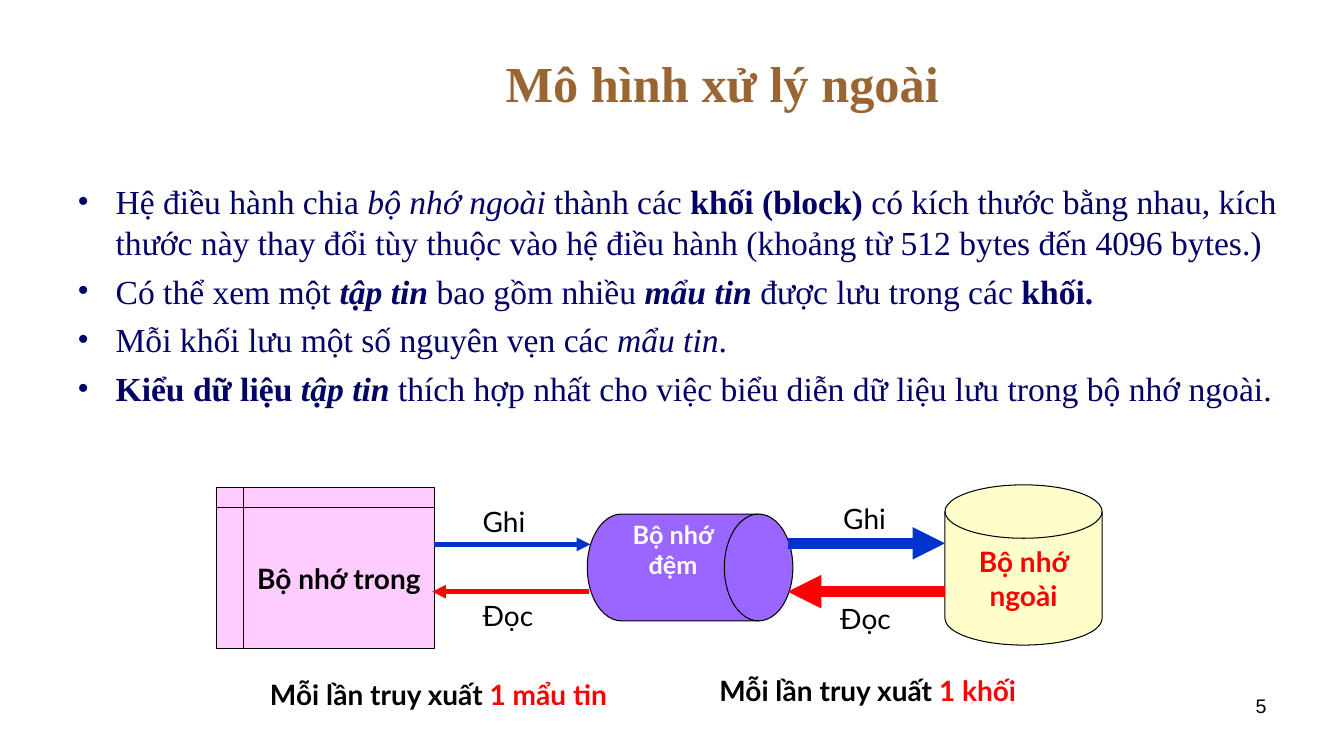
from lxml.etree import SubElement
from pptx import Presentation
from pptx.dml.color import RGBColor
from pptx.enum.shapes import MSO_CONNECTOR, MSO_SHAPE
from pptx.enum.text import MSO_ANCHOR, PP_ALIGN
from pptx.oxml.ns import qn
from pptx.util import Inches, Pt

COLORS = {"title": "996633", "body": "000066", "black": "000000", "white": "FFFFFF",
          "write": "0033CC", "read": "FF0000", "memory": "FFCCFF",
          "buffer": "9966FF", "disk": "FFFFCC"}

TITLE = "Mô hình xử lý ngoài"
PAGE_NUMBER = "5"
BULLETS = [
    [("Hệ điều hành chia ", ""), ("bộ nhớ ngoài ", "i"), ("thành các ", ""),
     ("khối (block) ", "b"),
     ("có kích thước bằng nhau, kích thước này thay đổi tùy thuộc vào hệ điều hành "
      "(khoảng từ 512 bytes đến 4096 bytes.)", "")],
    [("Có thể xem một ", ""), ("tập tin ", "bi"), ("bao gồm nhiều ", ""),
     ("mẩu tin ", "bi"), ("được lưu trong các ", ""), ("khối.", "b")],
    [("Mỗi khối lưu một số nguyên vẹn các ", ""), ("mẩu tin", "i"), (".", "")],
    [("Kiểu dữ liệu ", "b"), ("tập tin ", "bi"),
     ("thích hợp nhất cho việc biểu diễn dữ liệu lưu trong bộ nhớ ngoài.", "")],
]
STORES = [
    (MSO_SHAPE.FLOWCHART_INTERNAL_STORAGE, (2.15, 4.84, 2.16, 1.59),
     "Bộ nhớ trong", "memory", "black", 20, MSO_ANCHOR.MIDDLE),
    (MSO_SHAPE.FLOWCHART_MAGNETIC_DISK, (9.38, 4.81, 1.56, 1.59),
     "Bộ nhớ ngoài", "disk", "read", 20, MSO_ANCHOR.MIDDLE),
    (MSO_SHAPE.FLOWCHART_DIRECT_ACCESS_STORAGE, (5.83, 5.1, 2.04, 1.06),
     "Bộ nhớ đệm", "buffer", "white", 18, MSO_ANCHOR.TOP),
]
TRANSFERS = [
    (4.31, 5.86, 5.4, "write", 3.25),
    (7.82, 9.38, 5.39, "write", 7.75),
    (5.85, 4.29, 5.87, "read", 3.25),
    (9.38, 7.82, 5.87, "read", 8),
]
TRANSFER_LABELS = [("Ghi", 4.79, 5), ("Ghi", 8.37, 4.97),
                   ("Đọc", 4.79, 5.93), ("Đọc", 8.34, 5.96)]
CAPTIONS = [("Mỗi lần truy xuất ", "1 mẩu tin", 2.68, 6.71),
            ("Mỗi lần truy xuất ", "1 khối", 7.14, 6.67)]


def rgb(name):
    """Return the named colour."""
    return RGBColor.from_string(COLORS[name])


def style(font, face, size, color, bold=None):
    """Set face, size, colour and weight of a font."""
    font.name, font.size, font.bold = face, Pt(size), bold
    font.color.rgb = rgb(color)


def add_text(slide, box, anchor=MSO_ANCHOR.TOP, insets=(0.1, 0.05)):
    """Add a wrapping text box and return its frame."""
    frame = slide.shapes.add_textbox(*map(Inches, box)).text_frame
    frame.word_wrap = True
    frame.vertical_anchor = anchor
    frame.margin_left = frame.margin_right = Inches(insets[0])
    frame.margin_top = frame.margin_bottom = Inches(insets[1])
    return frame


def add_line(slide, box, text, align, font, anchor=MSO_ANCHOR.TOP, insets=(0.1, 0.05)):
    """Add a text box holding one uniform paragraph."""
    paragraph = add_text(slide, box, anchor, insets).paragraphs[0]
    paragraph.text = text
    paragraph.alignment = align
    style(paragraph.font, *font)
    return paragraph


def add_bullets(slide):
    """Add the bulleted explanation."""
    frame = add_text(slide, (0.67, 1.75, 12.33, 2.75))
    for index, pieces in enumerate(BULLETS):
        paragraph = frame.add_paragraph() if index else frame.paragraphs[0]
        if index:
            paragraph.space_before = Pt(6)
        properties = paragraph._p.get_or_add_pPr()
        properties.set("marL", str(Inches(0.38)))
        properties.set("indent", str(-Inches(0.38)))
        bullet_color = SubElement(properties, qn("a:buClr"))
        SubElement(bullet_color, qn("a:srgbClr"), val=COLORS["body"])
        SubElement(properties, qn("a:buFont"), typeface="Times New Roman")
        SubElement(properties, qn("a:buChar"), char="•")
        style(paragraph.font, "Times New Roman", 24, "body")
        for text, marks in pieces:
            run = paragraph.add_run()
            run.text = text
            run.font.bold = "b" in marks
            run.font.italic = "i" in marks


def add_store(slide, outline, box, text, fill, color, size, anchor):
    """Add one memory shape with its name."""
    store = slide.shapes.add_shape(outline, *map(Inches, box))
    store.shadow.inherit = False
    store.fill.solid()
    store.fill.fore_color.rgb = rgb(fill)
    store.line.color.rgb = rgb("black")
    store.line.width = Pt(0.75)
    frame = store.text_frame
    frame.word_wrap = True
    frame.vertical_anchor = anchor
    paragraph = frame.paragraphs[0]
    paragraph.text = text
    paragraph.alignment = PP_ALIGN.CENTER
    style(paragraph.font, "Lato", size, color, True)


def add_transfer(slide, start, end, y, color, width):
    """Add one arrow between two memories."""
    arrow = slide.shapes.add_connector(
        MSO_CONNECTOR.STRAIGHT, Inches(start), Inches(y), Inches(end), Inches(y))
    arrow.line.color.rgb = rgb(color)
    arrow.line.width = Pt(width)
    SubElement(arrow.line._get_or_add_ln(), qn("a:tailEnd"), type="triangle")
    SubElement(arrow._element.spPr, qn("a:effectLst"))


def main():
    """Build the slide and save it."""
    deck = Presentation()
    deck.slide_width, deck.slide_height = Inches(13.34), Inches(7.5)
    slide = deck.slides.add_slide(deck.slide_layouts[6])
    add_line(slide, (1.67, 0.3, 11, 1.03), TITLE, PP_ALIGN.CENTER,
             ("Times New Roman", 36, "title", True), MSO_ANCHOR.MIDDLE)
    add_line(slide, (9.56, 6.83, 3.11, 0.52), PAGE_NUMBER, PP_ALIGN.RIGHT,
             ("Arial", 14, "black"))
    add_bullets(slide)
    for store in STORES:
        add_store(slide, *store)
    for transfer in TRANSFERS:
        add_transfer(slide, *transfer)
    for text, left, top in TRANSFER_LABELS:
        add_line(slide, (left, top, 0.6, 0.53), text, PP_ALIGN.JUSTIFY,
                 ("Lato", 20, "black"), insets=(0, 0.01))
    for lead, amount, left, top in CAPTIONS:
        caption = add_line(slide, (left, top, 3.79, 0.53), lead, PP_ALIGN.JUSTIFY,
                           ("Lato", 20, "black", True), insets=(0, 0.01))
        unit = caption.add_run()
        unit.text = amount
        unit.font.color.rgb = rgb("read")
    deck.save("out.pptx")


if __name__ == "__main__":
    main()
